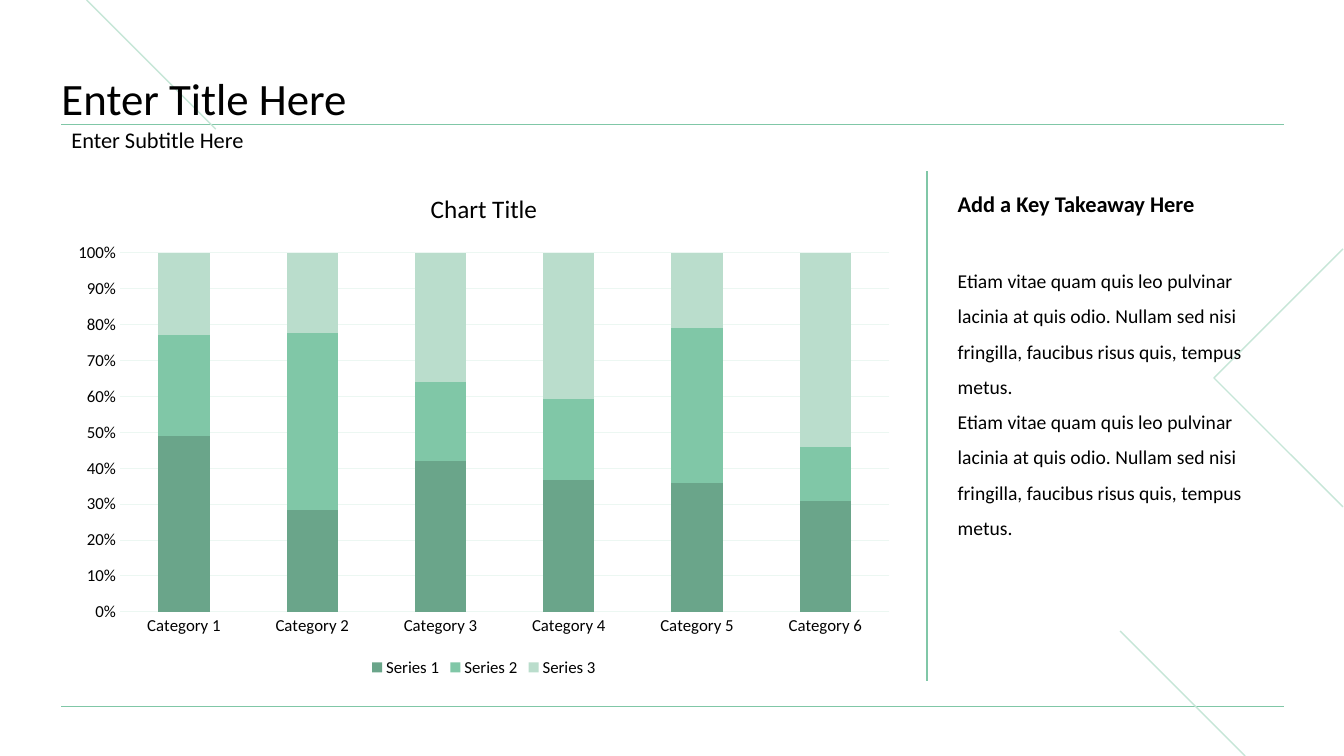
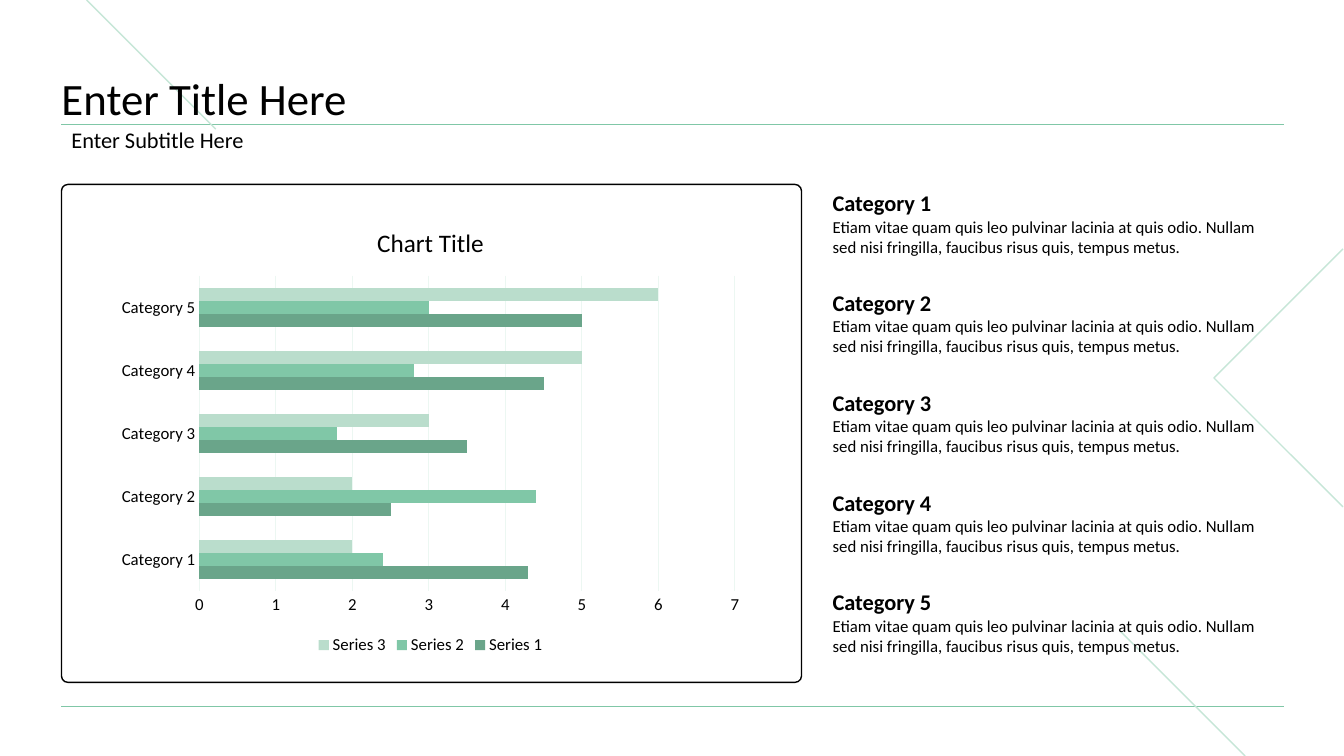
from lxml.etree import SubElement
from pptx import Presentation
from pptx.chart.data import CategoryChartData
from pptx.dml.color import RGBColor
from pptx.enum.chart import XL_CHART_TYPE, XL_LEGEND_POSITION, XL_TICK_MARK
from pptx.enum.shapes import MSO_CONNECTOR, MSO_SHAPE
from pptx.enum.text import MSO_ANCHOR
from pptx.oxml.ns import qn
from pptx.util import Inches, Pt

BLACK = RGBColor(0x00, 0x00, 0x00)
WHITE = RGBColor(0xFF, 0xFF, 0xFF)
GREEN = RGBColor(0x80, 0xC7, 0xA7)
PALE_GREEN = RGBColor(0xC6, 0xE6, 0xD7)
GRID = RGBColor(0xEC, 0xF7, 0xF2)
SERIES_COLORS = [RGBColor(0x6A, 0xA5, 0x8A), GREEN, RGBColor(0xBA, 0xDD, 0xCC)]

FONT = "Calibri"
WIDTH, HEIGHT = 13.33, 7.5
LEFT, RIGHT = 0.61, 12.73
TITLE_RULE, FOOTER_RULE = 1.23, 7.01

BODY = ("Etiam vitae quam quis leo pulvinar lacinia at quis odio. Nullam sed nisi "
        "fringilla, faucibus risus quis, tempus metus.")


def set_font(font, size, bold=False):
    font.name = FONT
    font.size = Pt(size)
    font.bold = bold
    font.color.rgb = BLACK


def set_line(line, color, width):
    line.color.rgb = color
    line.width = Pt(width)


class Deck:
    def __init__(self):
        self.prs = Presentation()
        self.prs.slide_width = Inches(WIDTH)
        self.prs.slide_height = Inches(HEIGHT)
        self.s = None

    def add_slide(self, title, subtitle):
        self.s = self.prs.slides.add_slide(self.prs.slide_layouts[6])
        self.decorate()
        width = RIGHT - LEFT
        tf = self.text(LEFT, 0.44, width, 0.8, [(title, 32, False)], spacing=0.9,
                       anchor=MSO_ANCHOR.BOTTOM)
        tf.margin_left = tf.margin_top = tf.margin_right = tf.margin_bottom = 0
        self.text(LEFT, TITLE_RULE, width, 0.34, [(subtitle, 16, False)], spacing=0.9,
                  anchor=MSO_ANCHOR.MIDDLE)

    def decorate(self):
        """Draw the rules, the corner diagonals and the chevron at the right edge."""
        for y in (FOOTER_RULE, TITLE_RULE):
            self.line(LEFT, y, RIGHT, y, GREEN, 0.5)
        self.line(11.11, 6.26, 12.35, HEIGHT, PALE_GREEN, 1)
        self.line(0.86, 0, 2.14, 1.28, PALE_GREEN, 1)
        tip, edge, middle = Inches(12.04), Inches(13.32), Inches(3.75)
        half = edge - tip
        builder = self.s.shapes.build_freeform(edge, middle - half)
        builder.add_line_segments([(tip, middle), (edge, middle + half)], close=False)
        chevron = builder.convert_to_shape()
        chevron.shadow.inherit = False
        chevron.fill.background()
        set_line(chevron.line, PALE_GREEN, 1)

    def line(self, x1, y1, x2, y2, color, width):
        connector = self.s.shapes.add_connector(
            MSO_CONNECTOR.STRAIGHT, Inches(x1), Inches(y1), Inches(x2), Inches(y2))
        set_line(connector.line, color, width)
        SubElement(connector._element.spPr, qn("a:effectLst"))

    def panel(self, x, y, w, h):
        """Draw a slightly rounded, 90% opaque white frame."""
        sp = self.s.shapes.add_shape(MSO_SHAPE.ROUNDED_RECTANGLE, Inches(x), Inches(y),
                                     Inches(w), Inches(h))
        sp.adjustments[0] = 0.013
        sp.shadow.inherit = False
        sp.fill.solid()
        sp.fill.fore_color.rgb = WHITE
        color = sp._element.spPr.find(qn("a:solidFill")).find(qn("a:srgbClr"))
        SubElement(color, qn("a:alpha"), val="90000")
        set_line(sp.line, BLACK, 1)

    def text(self, x, y, w, h, lines, spacing=1.0, anchor=MSO_ANCHOR.TOP):
        """Add a text box; each line is (text, size, bold)."""
        tf = self.s.shapes.add_textbox(Inches(x), Inches(y), Inches(w), Inches(h)).text_frame
        tf.word_wrap = True
        tf.vertical_anchor = anchor
        for i, (text, size, bold) in enumerate(lines):
            p = tf.paragraphs[0] if i == 0 else tf.add_paragraph()
            p.text = text
            p.line_spacing = spacing
            set_font(p.font, size, bold)
        return tf

    def chart(self, kind, x, y, w, h, columns, gap):
        """Add a titled chart; each column holds one series' values."""
        data = CategoryChartData()
        data.categories = [f"Category {i + 1}" for i in range(len(columns[0]))]
        for i, values in enumerate(columns):
            data.add_series(f"Series {i + 1}", values)
        chart = self.s.shapes.add_chart(kind, Inches(x), Inches(y), Inches(w), Inches(h),
                                        data).chart
        set_font(chart.font, 10)
        chart.has_title = True
        title = chart.chart_title.text_frame
        title.text = "Chart Title"
        set_font(title.paragraphs[0].font, 18)
        chart.chart_title.include_in_layout = False

        chart.has_legend = True
        chart.legend.position = XL_LEGEND_POSITION.BOTTOM
        chart.legend.include_in_layout = False
        set_font(chart.legend.font, 12)

        for axis in (chart.category_axis, chart.value_axis):
            axis.major_tick_mark = axis.minor_tick_mark = XL_TICK_MARK.NONE
            set_font(axis.tick_labels.font, 12)
            axis.format.line.fill.background()
        chart.value_axis.has_major_gridlines = True
        set_line(chart.value_axis.major_gridlines.format.line, GRID, 0.75)

        plot = chart.plots[0]
        plot.gap_width = gap
        plot.vary_by_categories = False
        for series, color in zip(plot.series, SERIES_COLORS):
            series.format.fill.solid()
            series.format.fill.fore_color.rgb = color
            series.invert_if_negative = False
        return chart


def takeaway_slide(deck):
    deck.add_slide("Enter Title Here", "Enter Subtitle Here")
    top, bottom = 1.7, 6.76
    chart = deck.chart(XL_CHART_TYPE.COLUMN_STACKED_100, LEFT, top, 8.38, bottom - top,
                       [(49, 28, 42, 37, 36, 31),
                        (28, 49, 22, 23, 43, 15),
                        (23, 22, 36, 41, 21, 54)], gap=150)
    chart.plots[0].overlap = 100
    labels = chart.value_axis.tick_labels
    labels.number_format = "0%"
    labels.number_format_is_linked = False
    deck.line(9.19, top, 9.19, bottom, GREEN, 1.5)
    tf = deck.text(9.4, top, 3.32, 3.7,
                   [("Add a Key Takeaway Here", 16, True), (BODY, 14, False),
                    (BODY, 14, False)], spacing=1.5)
    tf.paragraphs[1].space_before = Pt(29)


def categories_slide(deck):
    deck.add_slide("Enter Title Here", "Enter Subtitle Here")
    top = 1.83
    deck.panel(LEFT, top, 7.34, 4.94)
    chart = deck.chart(XL_CHART_TYPE.BAR_CLUSTERED, 1.08, 2.05, 6.38, 4.49,
                       [(4.3, 2.5, 3.5, 4.5, 5),
                        (2.4, 4.4, 1.8, 2.8, 3),
                        (2, 2, 3, 5, 6)], gap=182)
    set_line(chart.category_axis.format.line, GRID, 0.75)
    for i in range(5):
        deck.text(8.16, top + 0.99 * i, 4.57, 0.77,
                  [(f"Category {i + 1}", 16, True), (BODY, 12, False)])


def main():
    deck = Deck()
    takeaway_slide(deck)
    categories_slide(deck)
    deck.prs.save("out.pptx")


if __name__ == "__main__":
    main()
